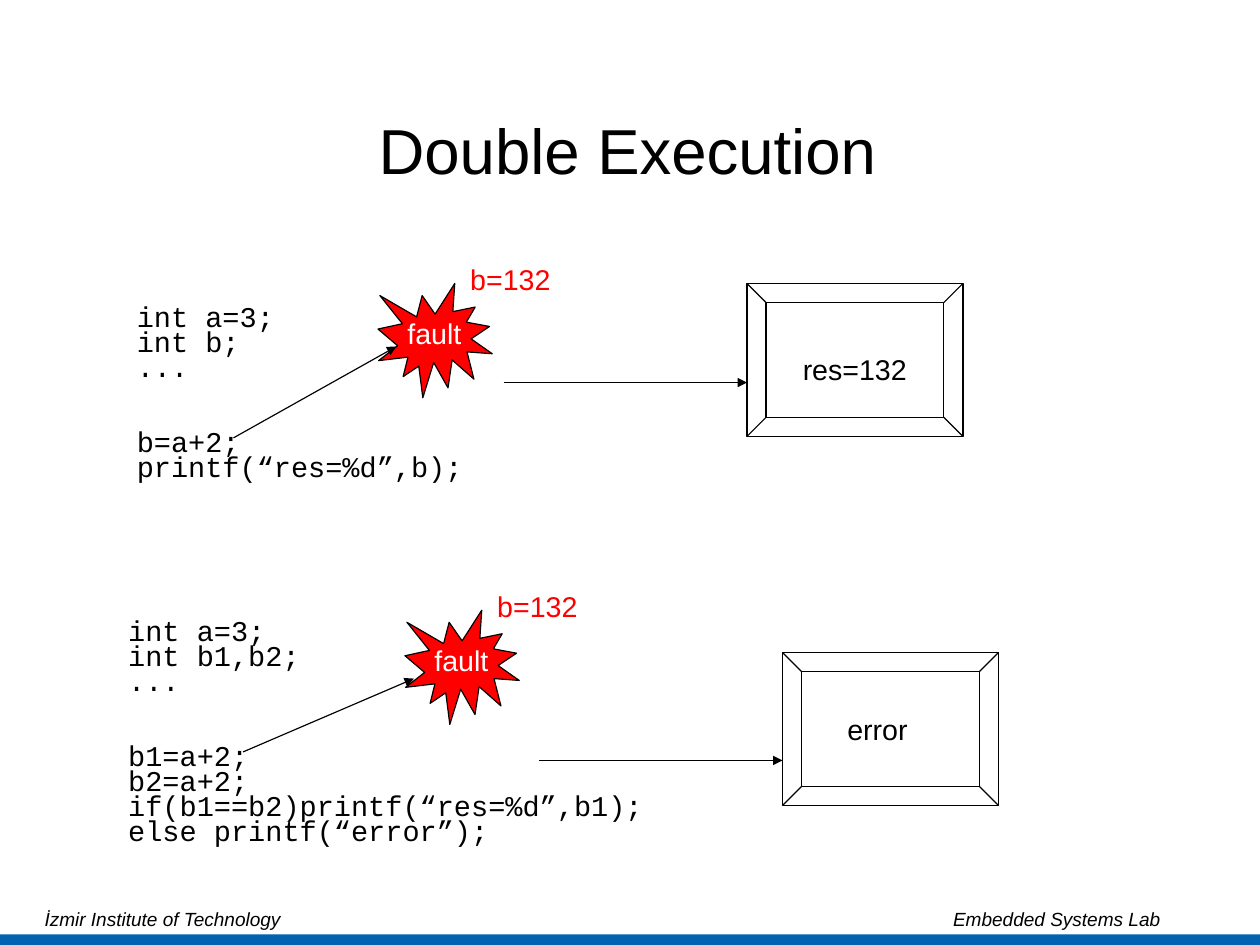
from lxml.etree import SubElement
from pptx import Presentation
from pptx.dml.color import RGBColor
from pptx.enum.shapes import MSO_CONNECTOR, MSO_SHAPE
from pptx.enum.text import MSO_ANCHOR, PP_ALIGN
from pptx.oxml.ns import qn
from pptx.util import Cm, Pt

COLORS = {"ink": "000000", "fault": "FF0000", "light": "FFFFFF", "bar": "0062B1"}
BLANK_GAP = 31.5  # points, the height of two empty code lines


def color(name):
    return RGBColor.from_string(COLORS[name])


def write(sp, lines, ink="ink", align=PP_ALIGN.LEFT, anchor=MSO_ANCHOR.TOP,
          wrap=True, gap_before=None, **font):
    """Fill a shape with one paragraph per line, in the slide's tight spacing."""
    tf = sp.text_frame
    frame = {"word_wrap": wrap, "vertical_anchor": anchor}
    for name, value in frame.items():
        setattr(tf, name, value)
    for i, line in enumerate(lines):
        p = tf.paragraphs[0] if i == 0 else tf.add_paragraph()
        space = BLANK_GAP if i == gap_before else 0.1
        spacing = {"alignment": align, "line_spacing": 0.72,
                   "space_before": Pt(space), "space_after": Pt(0.1)}
        for name, value in spacing.items():
            setattr(p, name, value)
        r = p.add_run()
        r.text = line
        r.font.color.rgb = color(ink)
        for name, value in {"name": "Arial", "size": Pt(18), **font}.items():
            setattr(r.font, name, value)


def add_text(s, x, y, w, h, lines, **style):
    write(s.shapes.add_textbox(Cm(x), Cm(y), Cm(w), Cm(h)), lines, **style)


def add_block(s, kind, x, y, w, h, fill=None, line="ink"):
    sp = s.shapes.add_shape(kind, Cm(x), Cm(y), Cm(w), Cm(h))
    sp.shadow.inherit = False
    if fill:
        sp.fill.solid()
        sp.fill.fore_color.rgb = color(fill)
    else:
        sp.fill.background()
    sp.line.color.rgb = color(line)
    sp.line.width = Pt(0.75)
    return sp


def add_arrow(s, x1, y1, x2, y2):
    cxn = s.shapes.add_connector(MSO_CONNECTOR.STRAIGHT, Cm(x1), Cm(y1), Cm(x2), Cm(y2))
    cxn.line.color.rgb = color("ink")
    cxn.line.width = Pt(0.75)
    sp_pr = cxn._element.spPr
    SubElement(sp_pr.find(qn("a:ln")), qn("a:tailEnd"), type="triangle")
    SubElement(sp_pr, qn("a:effectLst"))


def add_title(s, x, y, w, h):
    add_text(s, x, y, w, h, ["Double Execution"], size=Pt(40),
             align=PP_ALIGN.CENTER, anchor=MSO_ANCHOR.MIDDLE)


def add_execution(s, x, y, code, code_dy, burst_dx, statement, hit, screen,
                  arrow_dy, result, result_at):
    """One program run: code, injected fault and the screen with its output."""
    # Code
    add_text(s, x, y + code_dy, 12.4, 4.5, code, name="Courier New", gap_before=3)

    # Fault and the wrong value it leaves
    bx = x + burst_dx
    burst = add_block(s, MSO_SHAPE.EXPLOSION1, bx, y, 2.54, 2.54, fill="fault")
    write(burst, ["fault"], ink="light", align=PP_ALIGN.CENTER,
          anchor=MSO_ANCHOR.MIDDLE, wrap=False)
    add_arrow(s, x + statement[0], y + statement[1], bx + hit[0], y + hit[1])
    add_text(s, bx + 1.8, y - 0.4, 2.4, 0.81, ["b=132"], ink="fault")

    # Output screen
    sx, sy = x + screen[0], y + screen[1]
    add_block(s, MSO_SHAPE.BEVEL, sx, sy, 4.8, 3.4)
    add_arrow(s, sx - 5.41, sy + arrow_dy, sx, sy + arrow_dy)
    add_text(s, sx + result_at[0], sy + result_at[1], 3, 0.81, [result])


def add_footer(s, x, y, w, h):
    add_block(s, MSO_SHAPE.ROUNDED_RECTANGLE, 0, 20.78, 28, 0.22,
              fill="bar", line="bar").adjustments[0] = 0.02
    names = {"İzmir Institute of Technology": PP_ALIGN.LEFT,
             "Embedded Systems Lab": PP_ALIGN.RIGHT}
    for i, (name, align) in enumerate(names.items()):
        add_text(s, x + i * w / 2, y, w / 2, h, [name], size=Pt(12), italic=True,
                 align=align, anchor=MSO_ANCHOR.MIDDLE)


def main():
    prs = Presentation()
    prs.slide_width, prs.slide_height = Cm(28), Cm(21)
    s = prs.slides.add_slide(prs.slide_layouts[6])

    add_footer(s, 0.74, 20.07, 25.3, 0.8)
    add_title(s, 2, 0.69, 23.88, 5.64)
    add_execution(
        s, 2.79, 6.3,
        code=["int a=3;", "int b;", "...", "b=a+2;", "printf(“res=%d”,b);"],
        code_dy=0.41, burst_dx=5.61, statement=(2.4, 3.43), hit=(0.41, 1.4),
        screen=(13.81, 0), arrow_dy=2.2, result="res=132", result_at=(0.99, 1.6))
    add_execution(
        s, 2.6, 13.56,
        code=["int a=3;", "int b1,b2;", "...", "b1=a+2;", "b2=a+2;",
              "if(b1==b2)printf(“res=%d”,b1);", "else printf(“error”);"],
        code_dy=0.13, burst_dx=6.4, statement=(2.8, 3.15), hit=(0.2, 1.52),
        screen=(14.79, 0.94), arrow_dy=2.4, result="error", result_at=(1.19, 1.4))

    prs.save("out.pptx")


if __name__ == "__main__":
    main()
